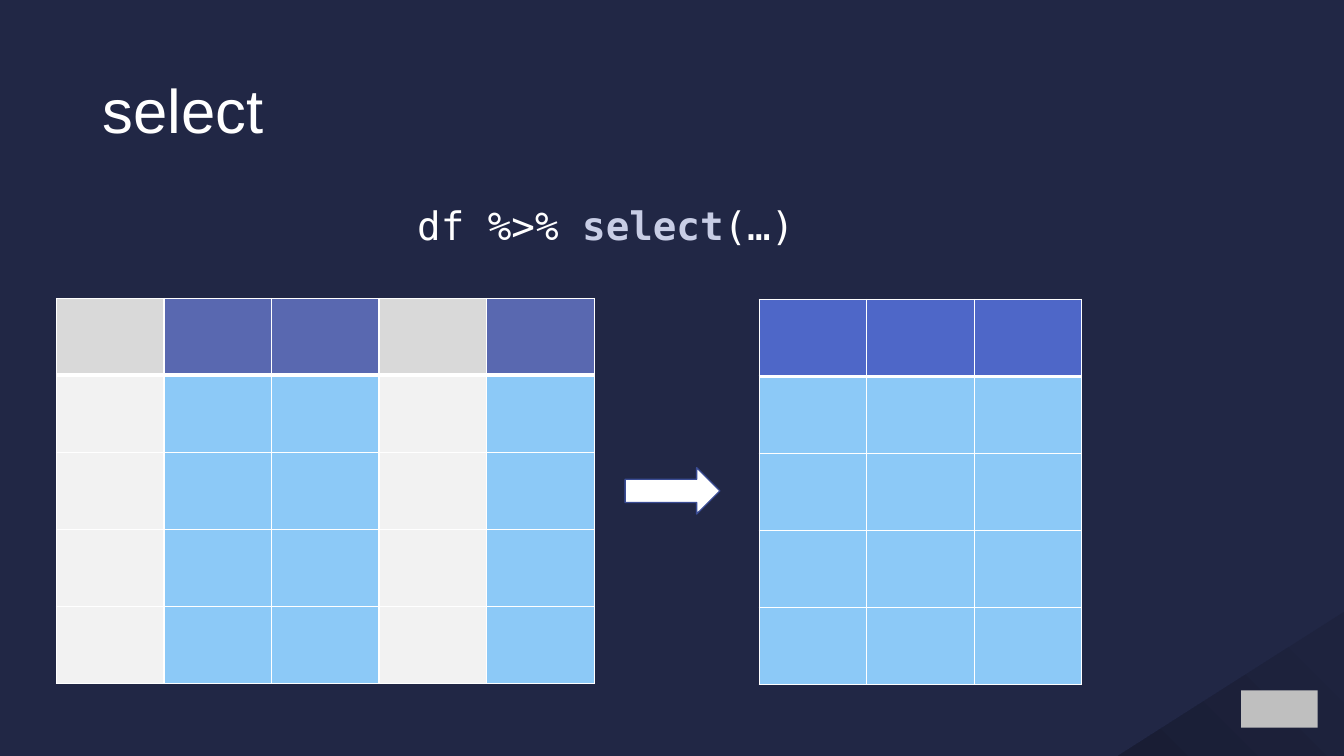
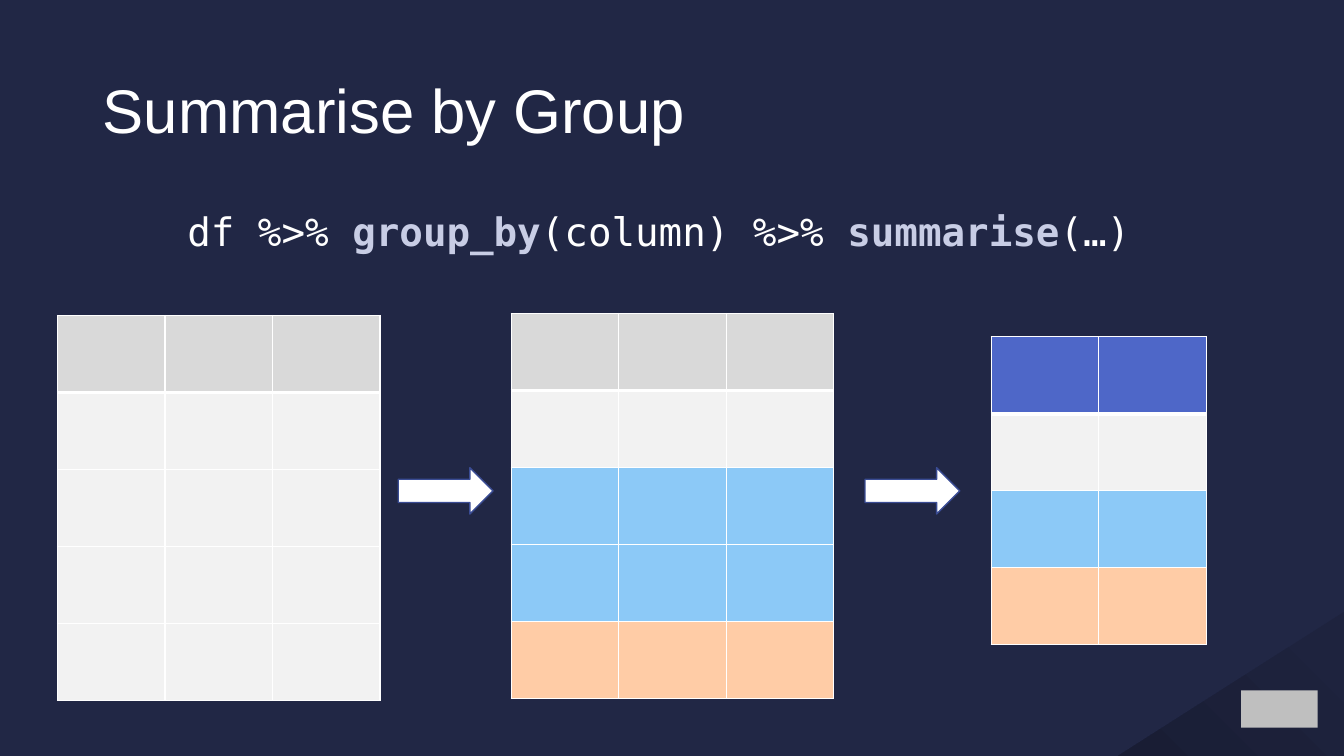
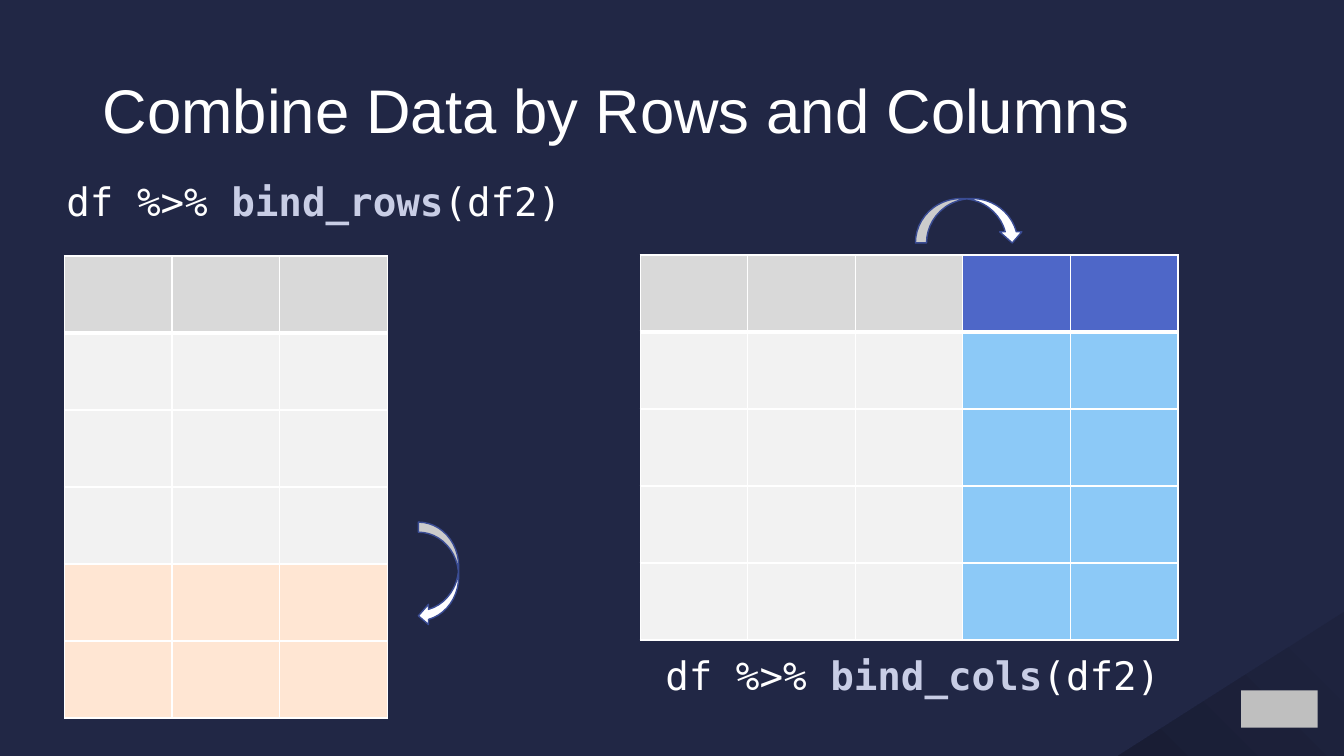
from dataclasses import dataclass

from lxml import etree
from pptx import Presentation
from pptx.dml.color import RGBColor
from pptx.enum.shapes import MSO_SHAPE
from pptx.enum.text import MSO_ANCHOR, MSO_AUTO_SIZE, PP_ALIGN
from pptx.oxml.ns import qn
from pptx.util import Inches, Pt

TRIANGLE = MSO_SHAPE.ISOSCELES_TRIANGLE
RECTANGLE = MSO_SHAPE.RECTANGLE
RIGHT = MSO_SHAPE.RIGHT_ARROW
CURVED_DOWN = MSO_SHAPE.CURVED_DOWN_ARROW
CURVED_LEFT = MSO_SHAPE.CURVED_LEFT_ARROW
MIDDLE = MSO_ANCHOR.MIDDLE
NO_AUTOFIT = MSO_AUTO_SIZE.NONE
LEFT = PP_ALIGN.LEFT


@dataclass(frozen=True)
class Theme:
    background: str = "212745"
    text: str = "FFFFFF"
    verb: str = "C8CDE5"
    arrow_line: str = "3A4C94"
    corner: tuple = ((0.06, "1E233E"), (1, "191D34"))
    mark: str = "BFBFBF"
    title_font: str = "Arial"
    code_font: str = "DejaVu Sans Mono"
    title_size: int = 44
    code_size: int = 28
    line_spacing: float = 0.9
    thin: int = 1
    thick: int = 3


THEME = Theme()

CELL_COLOURS = {
    "H": "D9D9D9",
    "S": "5968B0",
    "N": "4E67C8",
    "-": "F2F2F2",
    "b": "8CC9F7",
    "o": "FFCCA6",
    "p": "FFE6D3",
}
COLUMN_WIDTH = Inches(3.2) // 3
ROW_HEIGHT = Inches(3.82) // 5
ARROW_SIZE = (0.94, 0.46)

SLIDES = [
    {
        "title": "select",
        "tables": [
            (0.56, 2.96, ["HSSHS"] + ["-bb-b"] * 4),
            (7.53, 2.97, ["NNN"] + ["bbb"] * 4),
        ],
        "arrows": [(RIGHT, 6.2, 4.64, *ARROW_SIZE)],
        "code": [
            (4.04, 2, 6, [("df %>% ", False), ("select", True), ("(…)", False)]),
        ],
    },
    {
        "title": "Summarise by Group",
        "tables": [
            (0.57, 3.13, ["HHH"] + ["---"] * 4),
            (5.07, 3.11, ["HHH", "---", "bbb", "bbb", "ooo"]),
            (9.83, 3.34, ["NN", "--", "bb", "oo"]),
        ],
        "arrows": [(RIGHT, left, 4.64, *ARROW_SIZE) for left in (3.95, 8.58)],
        "code": [
            (1.76, 2.06, 10.57, [
                ("df %>% ", False), ("group_by", True), ("(column) %>% ", False),
                ("summarise", True), ("(…)", False),
            ]),
        ],
    },
    {
        "title": "Combine Data by Rows and Columns",
        "tables": [
            (0.64, 2.54, ["HHH"] + ["---"] * 3 + ["ppp"] * 2),
            (6.35, 2.53, ["HHHNN"] + ["---bb"] * 4),
        ],
        "arrows": [
            (CURVED_DOWN, 9.08, 1.97, 1.07, 0.44),
            (CURVED_LEFT, 4.15, 5.18, 0.4, 1.03),
        ],
        "code": [
            (0.56, 1.76, 5.42, [("df %>% ", False), ("bind_rows", True), ("(df2)", False)]),
            (6.5, 6.47, 5.42, [("df %>% ", False), ("bind_cols", True), ("(df2)", False)]),
        ],
    },
]


def rgb(colour):
    return RGBColor.from_string(colour)


def add_run(paragraph, text, font, size, colour, bold=False):
    run = paragraph.add_run()
    run.text = text
    run.font.name = font
    run.font.size = Pt(size)
    run.font.bold = bold
    run.font.color.rgb = rgb(colour)


def add_plain_shape(slide, preset, left, top, width, height):
    shape = slide.shapes.add_shape(
        preset, Inches(left), Inches(top), Inches(width), Inches(height))
    shape.shadow.inherit = False
    shape.line.fill.background()
    return shape


def add_corner(slide):
    corner = add_plain_shape(slide, TRIANGLE, 11.09, 6.07, 2.24, 1.43)
    corner.adjustments[0] = 1
    corner.fill.gradient()
    corner.fill.gradient_angle = 225
    for stop, (position, colour) in zip(corner.fill.gradient_stops, THEME.corner):
        stop.position = position
        stop.color.rgb = rgb(colour)
    mark = add_plain_shape(slide, RECTANGLE, 12.31, 6.85, 0.76, 0.37)
    mark.fill.solid()
    mark.fill.fore_color.rgb = rgb(THEME.mark)


def set_title(slide, text):
    title = slide.shapes.title
    title.left, title.top = Inches(0.92), Inches(0.4)
    title.width, title.height = Inches(11.5), Inches(1.45)
    frame = title.text_frame
    frame.vertical_anchor = MIDDLE
    frame.auto_size = NO_AUTOFIT
    paragraph = frame.paragraphs[0]
    paragraph.alignment = LEFT
    paragraph.line_spacing = THEME.line_spacing
    add_run(paragraph, text, THEME.title_font, THEME.title_size, THEME.text)


def set_borders(cell, top, bottom):
    properties = cell._tc.get_or_add_tcPr()
    widths = {"a:lnL": THEME.thin, "a:lnR": THEME.thin, "a:lnT": top, "a:lnB": bottom}
    for side, width in widths.items():
        border = etree.SubElement(properties, qn(side), w=str(Pt(width)))
        fill = etree.SubElement(border, qn("a:solidFill"))
        etree.SubElement(fill, qn("a:srgbClr"), val=THEME.text)


def add_data_frame(slide, left, top, rows):
    column_count = len(rows[0])
    table = slide.shapes.add_table(
        len(rows), column_count, Inches(left), Inches(top),
        COLUMN_WIDTH * column_count, ROW_HEIGHT * len(rows)).table
    table.horz_banding = False
    for column in table.columns:
        column.width = COLUMN_WIDTH
    for r, codes in enumerate(rows):
        table.rows[r].height = ROW_HEIGHT
        for c, code in enumerate(codes):
            cell = table.cell(r, c)
            set_borders(
                cell,
                THEME.thick if r == 1 else THEME.thin,
                THEME.thick if r == 0 else THEME.thin)
            cell.fill.solid()
            cell.fill.fore_color.rgb = rgb(CELL_COLOURS[code])


def add_arrow(slide, preset, left, top, width, height):
    arrow = add_plain_shape(slide, preset, left, top, width, height)
    arrow.fill.solid()
    arrow.fill.fore_color.rgb = rgb(THEME.text)
    arrow.line.color.rgb = rgb(THEME.arrow_line)
    arrow.line.width = Pt(THEME.thin)


def add_code(slide, left, top, width, pieces):
    frame = slide.shapes.add_textbox(
        Inches(left), Inches(top), Inches(width), Inches(0.86)).text_frame
    frame.word_wrap = True
    paragraph = frame.paragraphs[0]
    paragraph.line_spacing = THEME.line_spacing
    for text, is_verb in pieces:
        colour = THEME.verb if is_verb else THEME.text
        add_run(paragraph, text, THEME.code_font, THEME.code_size, colour, is_verb)


def main():
    deck = Presentation()
    deck.slide_width, deck.slide_height = Inches(13.33), Inches(7.5)
    backdrop = deck.slide_master.background.fill
    backdrop.solid()
    backdrop.fore_color.rgb = rgb(THEME.background)
    title_only = deck.slide_layouts.get_by_name("Title Only")
    for content in SLIDES:
        slide = deck.slides.add_slide(title_only)
        add_corner(slide)
        set_title(slide, content["title"])
        for data_frame in content["tables"]:
            add_data_frame(slide, *data_frame)
        for arrow in content["arrows"]:
            add_arrow(slide, *arrow)
        for code in content["code"]:
            add_code(slide, *code)
    deck.save("out.pptx")


if __name__ == "__main__":
    main()
